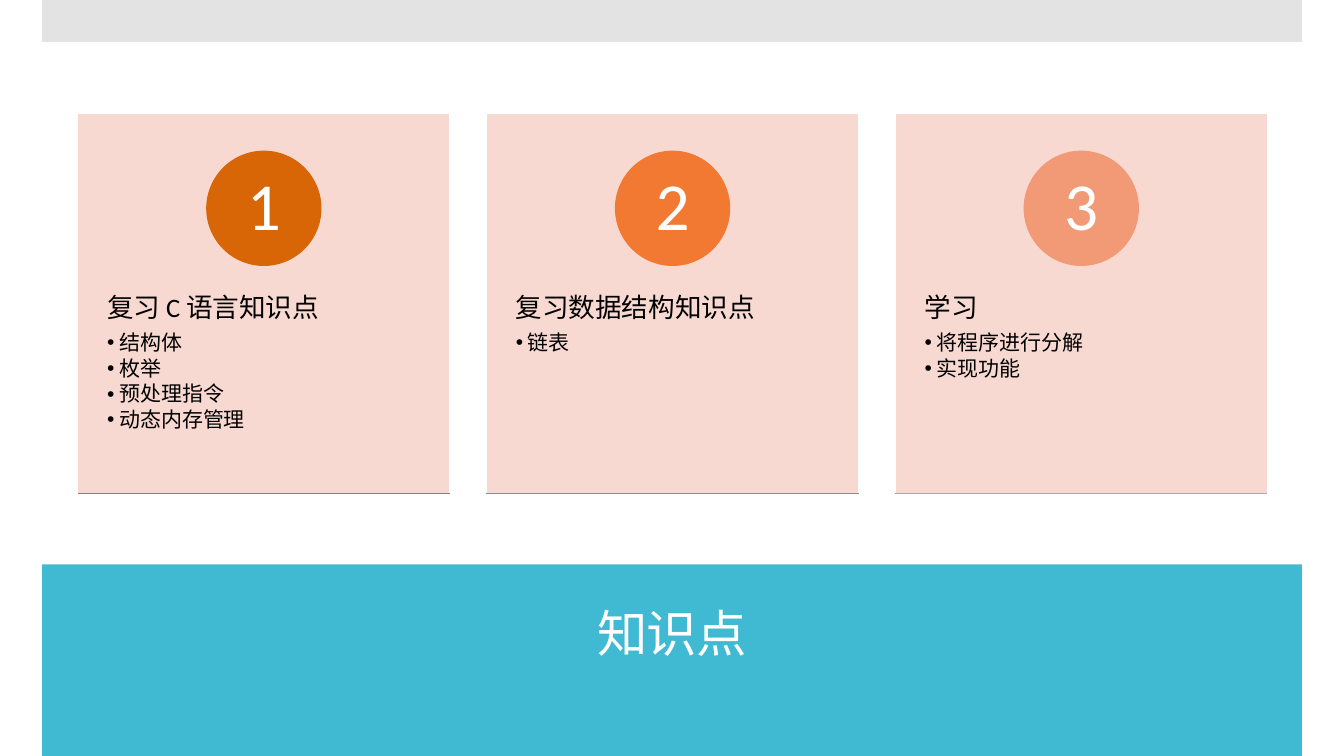
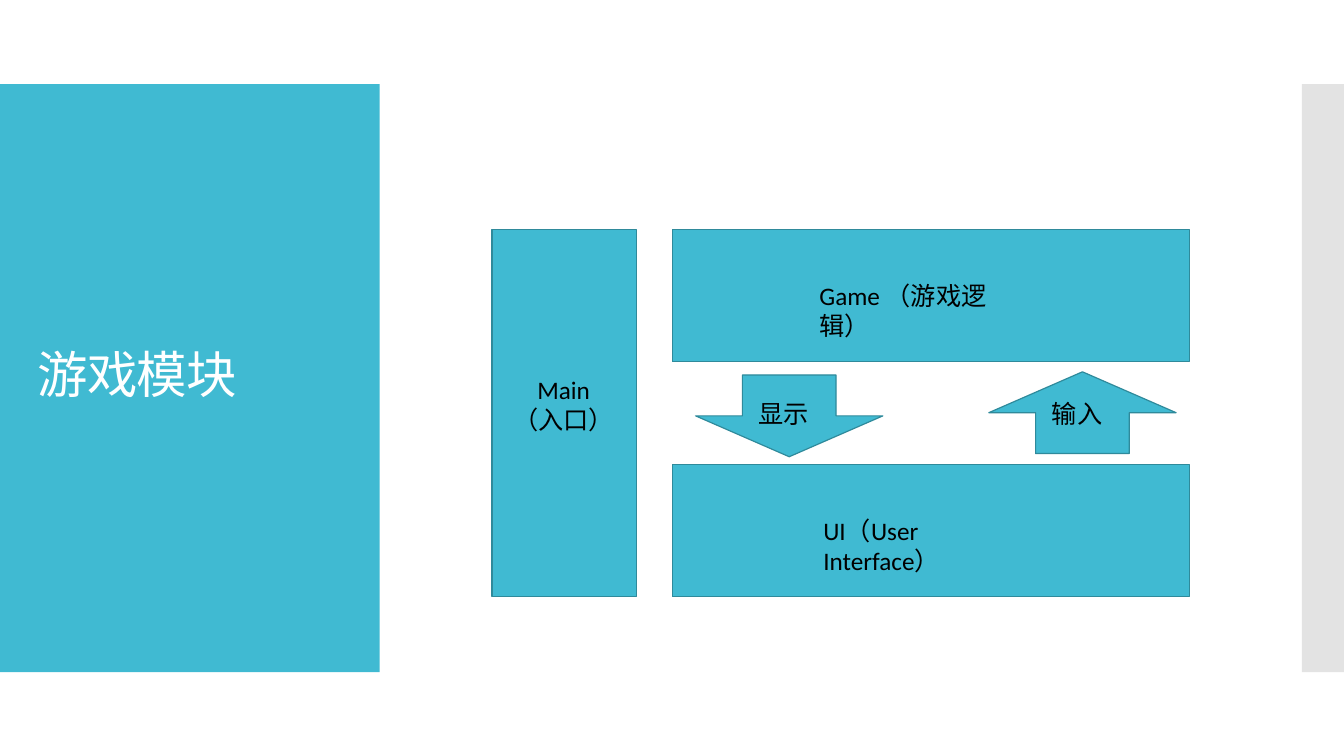
from pptx import Presentation
from pptx.dml.color import RGBColor
from pptx.enum.shapes import MSO_CONNECTOR, MSO_SHAPE as Preset
from pptx.enum.text import MSO_ANCHOR as Anchor, MSO_AUTO_SIZE as AutoSize, PP_ALIGN as Align
from pptx.oxml.xmlchemy import OxmlElement
from pptx.util import Cm, Pt

COLORS = {
    "teal": "40BAD2", "teal_edge": "2F8A9B", "grey": "C8C8C8",
    "card": "F8D5CC", "white": "FFFFFF", "black": "000000",
    "step1": "D86607", "step2": "F27932", "step3": "F29976",
    "rule1": "808080", "rule2": "8C8C8C", "rule3": "B0A8A8",
}
FONT = "Calibri"
WIDTH, HEIGHT = 33.87, 19.05
COMPARISON, TITLE_ONLY = 4, 5


def rgb(name):
    return RGBColor.from_string(COLORS[name])


def sub_element(parent, tag, **attributes):
    child = OxmlElement(tag)
    for key, value in attributes.items():
        child.set(key, str(value))
    parent.append(child)


def write(frame, text, *, size=18, color="black", align=Align.LEFT, anchor=Anchor.TOP,
          spacing=1.0, after=0, bullet=False, indent=0.3, tracking=None,
          insets=(0.25, 0.13), append=False):
    """Write one paragraph and format both it and its frame."""
    frame.word_wrap = True
    frame.auto_size = AutoSize.NONE
    frame.vertical_anchor = anchor
    frame.margin_left = frame.margin_right = Cm(insets[0])
    frame.margin_top = frame.margin_bottom = Cm(insets[1])

    paragraph = frame.add_paragraph() if append else frame.paragraphs[0]
    paragraph.alignment = align
    paragraph.line_spacing = spacing
    paragraph.space_before, paragraph.space_after = Pt(0), Pt(after)
    paragraph.level = 1 if bullet else 0
    props = paragraph._p.get_or_add_pPr()
    hang = Cm(indent) if bullet else 0
    props.set("marL", str(hang))
    props.set("indent", str(-hang))
    if bullet:
        sub_element(props, "a:buChar", char="•")
    else:
        sub_element(props, "a:buNone")

    run = paragraph.add_run()
    run.text = text
    run.font.name, run.font.size, run.font.bold = FONT, Pt(size), False
    run.font.color.rgb = rgb(color)
    if tracking is not None:
        run._r.get_or_add_rPr().set("spc", str(tracking))


class Deck:
    """Holds the presentation, its style and the current slide."""

    def __init__(self):
        self.prs = Presentation()
        self.prs.slide_width, self.prs.slide_height = Cm(WIDTH), Cm(HEIGHT)
        self.slide = None

    def new_slide(self, layout):
        self.slide = self.prs.slides.add_slide(self.prs.slide_layouts[layout])

    def shape(self, preset, box, fill, *, edge=None, weight=0.75, opacity=None):
        shape = self.slide.shapes.add_shape(preset, *map(Cm, box))
        shape.shadow.inherit = False
        shape.fill.solid()
        shape.fill.fore_color.rgb = rgb(fill)
        if opacity is not None:
            color = shape.fill._xPr.solidFill[0]
            sub_element(color, "a:alpha", val=opacity * 1000)
        if edge:
            shape.line.color.rgb = rgb(edge)
            shape.line.width = Pt(weight)
        else:
            shape.line.fill.background()
        return shape

    def bands(self, title_band, edge_band):
        self.shape(Preset.RECTANGLE, title_band, "teal")
        self.shape(Preset.RECTANGLE, edge_band, "grey", opacity=50)

    def place(self, placeholder, box):
        """Move a placeholder and bring it in front of the shapes drawn so far."""
        placeholder.left, placeholder.top, placeholder.width, placeholder.height = map(Cm, box)
        placeholder.element.getparent().append(placeholder.element)
        return placeholder.text_frame

    def title(self, text, box, align=Align.LEFT):
        write(self.place(self.slide.shapes.title, box), text, size=36, color="white",
              align=align, anchor=Anchor.MIDDLE, spacing=0.9, tracking=-60)

    def topic_list(self, slot, box, heading, points):
        frame = self.place(self.slide.placeholders[slot], box)
        shared = dict(spacing=0.9, insets=(0.74, 0.91))
        write(frame, heading, size=19, after=6.65, **shared)
        for point in points:
            write(frame, point, size=15, after=2.25, bullet=True, append=True, **shared)

    def drop_placeholder(self, slot):
        unused = self.slide.placeholders[slot].element
        unused.getparent().remove(unused)

    def rule(self, left, top, width, color):
        line = self.slide.shapes.add_connector(
            MSO_CONNECTOR.STRAIGHT, Cm(left), Cm(top), Cm(left + width), Cm(top))
        line.line.color.rgb = rgb(color)
        line.line.width = Pt(0.75)
        sub_element(line.element.spPr, "a:effectLst")

    def module(self, preset, box):
        self.shape(preset, box, "teal", edge="teal_edge", weight=0.85)

    def label(self, box, *lines, align=Align.LEFT):
        frame = self.slide.shapes.add_textbox(*map(Cm, box)).text_frame
        for number, line in enumerate(lines):
            write(frame, line, align=align, append=number > 0)


def topics_slide(deck):
    deck.new_slide(COMPARISON)
    deck.bands((1.06, 14.22, 31.75, 4.83), (1.06, 0, 31.75, 1.06))
    deck.title("知识点", (1.78, 14.6, 30.3, 2.84), Align.CENTER)

    # Three numbered cards at an equal pitch
    topics = [
        ("复习 C 语言知识点", ["结构体", "枚举", "预处理指令", "动态内存管理"]),
        ("复习数据结构知识点", ["链表"]),
        ("学习", ["将程序进行分解", "实现功能"]),
    ]
    first, pitch, top, width, height, disc = 1.96, 10.3, 2.87, 9.38, 9.56, 2.88
    for step, (heading, points) in enumerate(topics, start=1):
        left = first + (step - 1) * pitch
        deck.shape(Preset.RECTANGLE, (left, top, width, height), "card",
                   edge="white", opacity=90)
        badge = deck.shape(Preset.OVAL, (left + (width - disc) / 2, 3.81, disc, disc),
                           f"step{step}", edge=f"step{step}")
        write(badge.text_frame, str(step), size=48, color="white", align=Align.CENTER,
              anchor=Anchor.MIDDLE, spacing=0.9, insets=(0, 0))
        deck.topic_list(step, (left, 6.5, width, 5.74), heading, points)
        deck.rule(left, top + height, width, f"rule{step}")
    deck.drop_placeholder(4)


def modules_slide(deck):
    deck.new_slide(TITLE_ONLY)
    deck.bands((0, 2.12, 9.57, 14.82), (32.81, 2.12, 1.06, 14.82))
    deck.title("游戏模块", (0.7, 3.12, 8.18, 12.78))

    # Modules
    top, low = 5.79, 11.71
    layer_left, layer_width, layer_height = 16.94, 13.03, 3.33
    for layer_top in (low, top):
        deck.module(Preset.RECTANGLE, (layer_left, layer_top, layer_width, layer_height))
    deck.module(Preset.RECTANGLE, (12.4, top, 3.64, low + layer_height - top))

    # Flow between the layers
    deck.module(Preset.DOWN_ARROW, (17.53, 9.45, 4.72, 2.06))
    deck.module(Preset.UP_ARROW, (24.92, 9.37, 4.72, 2.06))

    # Labels
    deck.label((26.26, 9.9, 2.54, 1.02), "输入")
    deck.label((18.87, 9.9, 2.54, 1.02), "显示")
    deck.label((20.4, 6.93, 5.8, 1.8), "Game （游戏逻辑）")
    deck.label((20.5, 12.85, 5.2, 1.8), "UI（User Interface）")
    deck.label((12.67, 9.3, 3.07, 1.8), "Main", "（入口）", align=Align.CENTER)


def main():
    deck = Deck()
    topics_slide(deck)
    modules_slide(deck)
    deck.prs.save("out.pptx")


if __name__ == "__main__":
    main()
